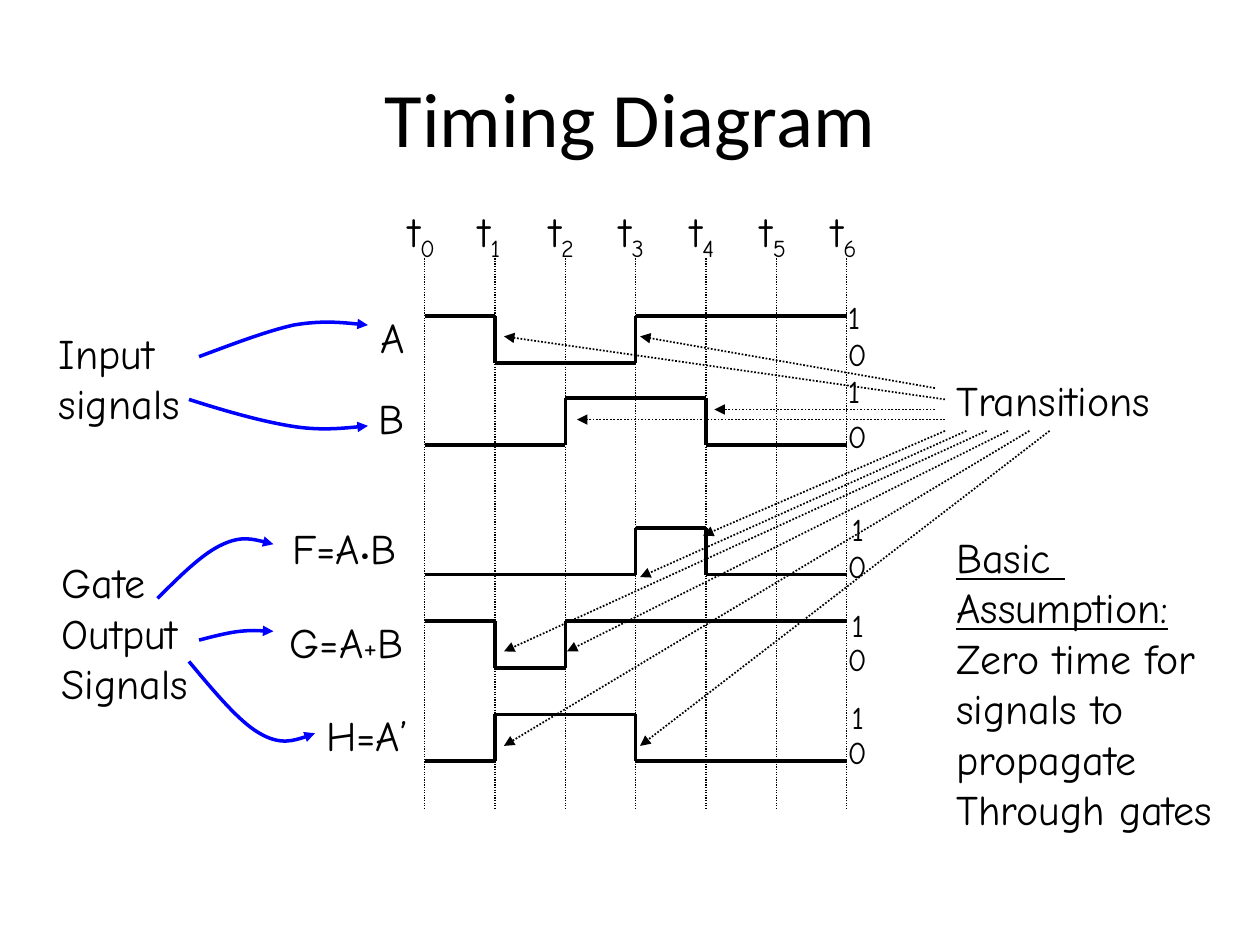
from lxml.etree import SubElement
from pptx import Presentation
from pptx.dml.color import RGBColor
from pptx.enum.dml import MSO_LINE
from pptx.enum.shapes import MSO_CONNECTOR
from pptx.enum.text import MSO_ANCHOR, MSO_AUTO_SIZE, PP_ALIGN
from pptx.oxml.ns import qn
from pptx.util import Inches, Pt

COLORS = {"ink": "000000", "pointer": "0000FF"}
INK = RGBColor.from_string(COLORS["ink"])

prs = Presentation()
prs.slide_width, prs.slide_height = Inches(10), Inches(7.5)
slide = prs.slides.add_slide(prs.slide_layouts[6])
shapes = slide.shapes


def add_text(left, top, width, height, paragraphs, font="Comic Neue"):
    """Each paragraph is a list of (text, size, style) runs; style is "", "sub" or "u"."""
    box = shapes.add_textbox(Inches(left), Inches(top), Inches(width), Inches(height))
    frame = box.text_frame
    frame.word_wrap = False
    frame.auto_size = MSO_AUTO_SIZE.SHAPE_TO_FIT_TEXT
    for i, runs in enumerate(paragraphs):
        paragraph = frame.add_paragraph() if i else frame.paragraphs[0]
        for text, size, style in runs:
            run = paragraph.add_run()
            run.text = text
            run.font.name = font
            run.font.size = Pt(size)
            run.font.color.rgb = INK
            if style == "u":
                run.font.underline = True
            elif style == "sub":
                run._r.get_or_add_rPr().set("baseline", "-25000")
    return frame


def add_line(x1, y1, x2, y2, width, dash=None):
    line = shapes.add_connector(
        MSO_CONNECTOR.STRAIGHT, Inches(x1), Inches(y1), Inches(x2), Inches(y2))
    line.line.color.rgb = INK
    line.line.width = Pt(width)
    if dash:
        line.line.dash_style = dash
    SubElement(line._element.spPr, qn("a:effectLst"))
    return line


title = add_text(0.5, 0.3, 9, 1.25, [[("Timing Diagram", 44, "")]], "Calibri")
title.word_wrap = True
title.auto_size = MSO_AUTO_SIZE.NONE
title.vertical_anchor = MSO_ANCHOR.MIDDLE
title.paragraphs[0].alignment = PP_ALIGN.CENTER

# Time axis
step = (6.72 - 3.37) / 6
times = [3.37 + step * i for i in range(7)]
for i, x in enumerate(times):
    add_line(x, 2.05, x, 6.42, 0.75, MSO_LINE.ROUND_DOT)
    add_text(3.14 + 0.56 * i, 1.58, 0.45, 0.56, [[("t", 24, ""), (str(i), 24, "sub")]])

# Signals: name runs, name left, name width, high level y, level per interval,
# position of the "1" label
swing = 0.37
signals = [
    ([("A", 24, "")], 2.92, 0.42, 2.51, "100111", (6.63, 2.32)),
    ([("B", 24, "")], 2.91, 0.43, 3.16, "001100", (6.63, 2.9)),
    ([("F=A", 24, ""), ("•", 18, ""), ("B", 24, "")], 2.22, 1.1, 4.19, "000100", (6.66, 4)),
    ([("G=A", 24, ""), ("+", 18, ""), ("B", 24, "")], 2.2, 1.18, 4.93, "101111", (6.66, 4.76)),
    ([("H=A’", 24, "")], 2.49, 0.92, 5.67, "011000", (6.66, 5.49)),
]
for name, name_left, name_width, high, levels, (one_left, one_top) in signals:
    low = high + swing
    for i, level in enumerate(levels):
        y = high if level == "1" else low
        add_line(times[i], y, times[i + 1], y, 2)
        if i and level != levels[i - 1]:
            add_line(times[i], low, times[i], high, 2)
    add_text(name_left, high - 0.09, name_width, 0.5, [name])
    add_text(one_left, one_top, 0.32, 0.4, [[("1", 18, "")]])
    add_text(6.63, high + 0.1, 0.37, 0.4, [[("0", 18, "")]])

# Side notes
notes = [
    (0.37, 2.55, 1.24, 0.9, ["Input", "signals"], 0),
    (0.39, 4.37, 1.28, 1.3, ["Gate", "Output", "Signals"], 0),
    (7.49, 4.17, 2.32, 2.5, ["Basic ", "Assumption:", "Zero time for", "signals to",
                             "propagate", "Through gates"], 2),
    (7.49, 2.92, 1.82, 0.5, ["Transitions"], 0),
]
for left, top, width, height, rows, underlined in notes:
    add_text(left, top, width, height,
             [[(row, 24, "u" if i < underlined else "")] for i, row in enumerate(rows)])

# Curved pointers from the notes to the signal names: start, then Bézier points
arrows = []
pointers = [
    [(1.58, 2.83), (1.85, 2.73), (2.11, 2.63), (2.33, 2.58), (2.56, 2.54), (2.83, 2.57), (2.92, 2.58)],
    [(1.5, 3.17), (1.78, 3.26), (2.06, 3.34), (2.3, 3.38), (2.53, 3.42), (2.83, 3.39), (2.92, 3.38)],
    [(1.25, 4.75), (1.43, 4.57), (1.61, 4.39), (1.77, 4.32), (1.92, 4.25), (2.11, 4.3), (2.17, 4.32)],
    [(1.5, 5.25), (1.7, 5.49), (1.9, 5.73), (2.06, 5.82), (2.23, 5.92), (2.44, 5.85), (2.5, 5.82)],
    [(1.58, 5.08), (1.7, 5.05), (1.81, 5.02), (1.91, 5.01), (2.01, 5), (2.13, 5.01), (2.17, 5.01)],
]
for points in pointers:
    start, *rest = [(Inches(x), Inches(y)) for x, y in points]
    builder = shapes.build_freeform(*start)
    builder.add_line_segments(rest, close=False)
    pointer = builder.convert_to_shape()
    pointer.shadow.inherit = False
    pointer.fill.background()
    pointer.line.color.rgb = RGBColor.from_string(COLORS["pointer"])
    pointer.line.width = Pt(2)
    # Every three straight segments become one cubic curve
    outline = pointer._element.find(".//" + qn("a:path"))
    for i, segment in enumerate(outline.findall(qn("a:lnTo"))):
        if i % 3 == 0:
            curve = SubElement(outline, qn("a:cubicBezTo"))
        curve.append(segment[0])
        outline.remove(segment)
    arrows.append(pointer)

# Dotted arrows from "Transitions" to each edge
transitions = [
    (7.5, 3.17, 4, 2.67), (7.42, 3.08, 5.08, 2.67),
    (7.42, 3.25, 5.67, 3.25), (7.5, 3.33, 4.58, 3.33),
    (7.5, 3.42, 5.58, 4.25), (7.67, 3.42, 5.08, 4.58),
    (7.83, 3.42, 4, 5.17), (8, 3.42, 4.5, 5.17),
    (8.17, 3.42, 4, 5.92), (8.33, 3.42, 5.08, 5.92),
]
for ends in transitions:
    arrows.append(add_line(*ends, 1, MSO_LINE.ROUND_DOT))

for arrow in arrows:
    SubElement(arrow._element.spPr.get_or_add_ln(), qn("a:tailEnd"), type="triangle")

prs.save("out.pptx")
